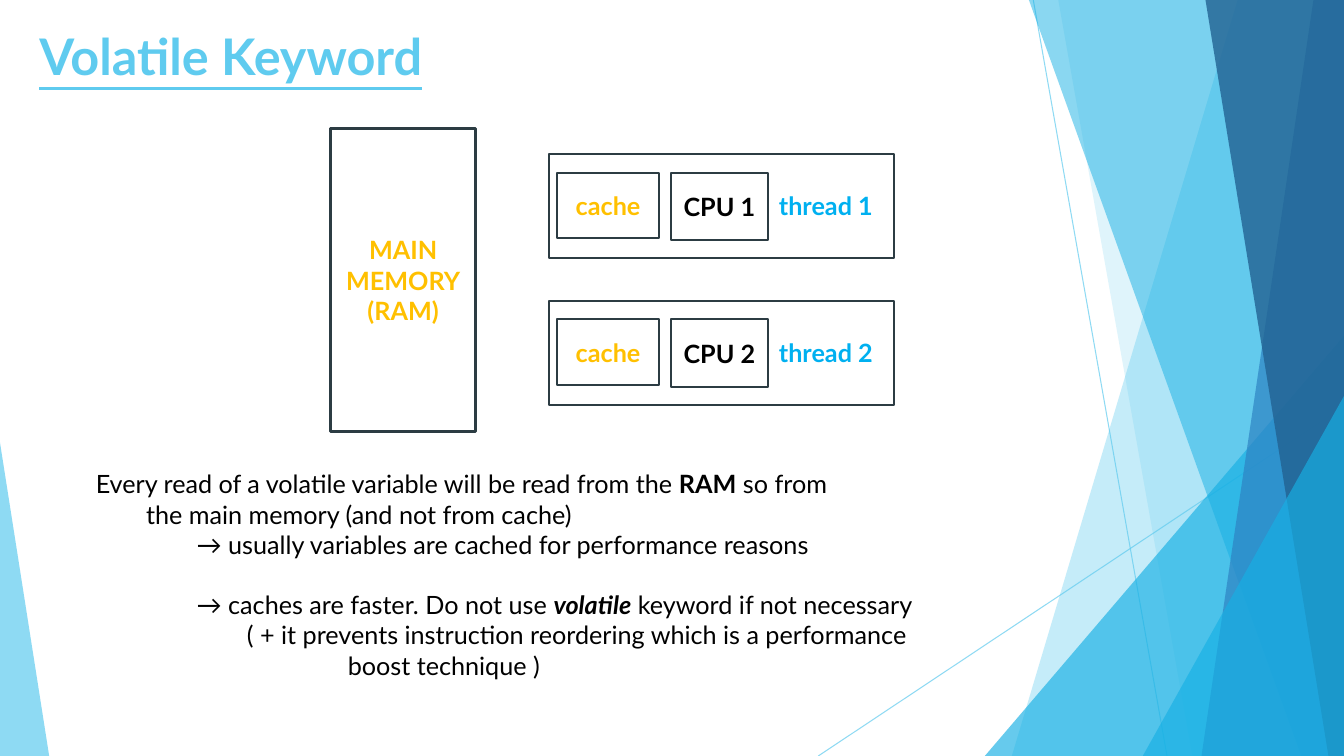
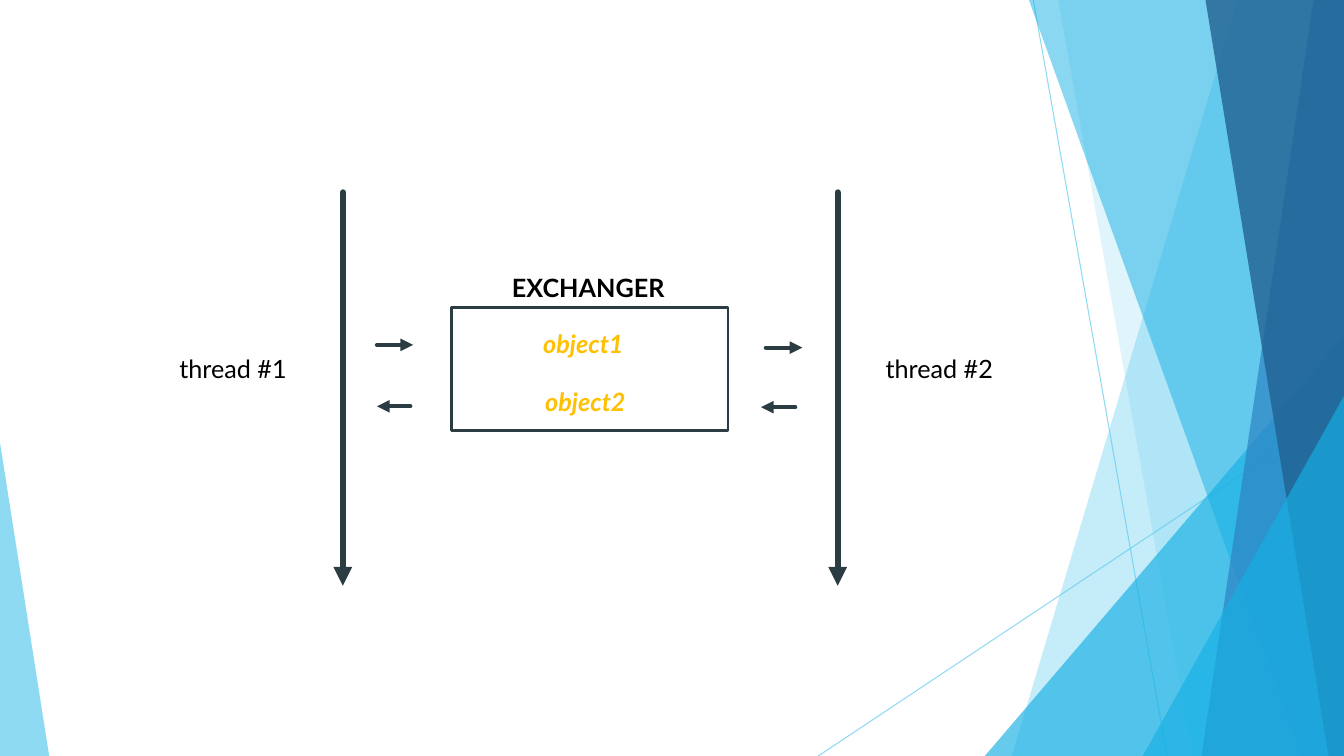
import dataclasses

import lxml.etree
import pptx
import pptx.dml.color
import pptx.enum.shapes
import pptx.enum.text
import pptx.oxml.ns
import pptx.util

Cm, Pt = pptx.util.Cm, pptx.util.Pt
SHAPE = pptx.enum.shapes.MSO_SHAPE
ALIGN = pptx.enum.text.PP_ALIGN
ANCHOR = pptx.enum.text.MSO_ANCHOR
qn = pptx.oxml.ns.qn


@dataclasses.dataclass(frozen=True)
class Theme:
    """Colours, font and sizes shared by all slides."""
    width: float = 33.87
    height: float = 19.05
    font: str = "Lato"
    title: float = 36
    body: float = 18
    tab: float = 1.27
    sky: str = "5FCBEF"
    cyan: str = "17B0E4"
    blue: str = "2E83C3"
    navy: str = "226292"
    ink: str = "2C3C43"
    black: str = "000000"
    gold: str = "FFC000"
    thread: str = "00B0F0"


THEME = Theme()


def rgb(code):
    """Return a colour object for a hex code."""
    return pptx.dml.color.RGBColor.from_string(code)


def apply(target, values):
    """Set each named attribute of the target."""
    for name, value in values.items():
        setattr(target, name, value)


def write(p, text, color=THEME.black, size=THEME.body, **values):
    """Add one formatted run to a paragraph."""
    r = p.add_run()
    r.text = text
    apply(r.font, {"name": THEME.font, "size": Pt(size), **values})
    r.font.color.rgb = rgb(color)


def place(sp, box):
    """Move a shape to a box in centimetres."""
    apply(sp, dict(zip(("left", "top", "width", "height"), map(Cm, box))))


def fade(sp, percent):
    """Set the opacity of every colour of a shape."""
    for color in sp.element.iter(qn("a:srgbClr")):
        lxml.etree.SubElement(color, qn("a:alpha")).set("val", str(percent * 1000))


def line(s, start, end, color, width, arrow=False):
    """Draw a straight line, with an arrowhead at its end if asked."""
    sp = s.shapes.add_connector(pptx.enum.shapes.MSO_CONNECTOR.STRAIGHT,
                                *map(Cm, (*start, *end)))
    sp.line.width = Pt(width)
    sp.line.color.rgb = rgb(color)
    if arrow:
        ln = sp.element.spPr.find(qn("a:ln"))
        ln.set("cap", "rnd")
        lxml.etree.SubElement(ln, qn("a:tailEnd")).set("type", "triangle")
    lxml.etree.SubElement(sp.element.spPr, qn("a:effectLst"))
    return sp


def frame(s, box, lines=(), color=THEME.black, width=1.5):
    """Draw an outlined rectangle with centred bold lines."""
    sp = s.shapes.add_shape(SHAPE.RECTANGLE, *map(Cm, box))
    sp.shadow.inherit = False
    sp.fill.background()
    sp.line.width = Pt(width)
    sp.line.color.rgb = rgb(THEME.ink)
    tf = sp.text_frame
    apply(tf, {"word_wrap": True, "vertical_anchor": ANCHOR.MIDDLE})
    for i, text in enumerate(lines):
        p = tf.add_paragraph() if i else tf.paragraphs[0]
        p.alignment = ALIGN.CENTER
        write(p, text, color, bold=True)


def label(s, box, text, color=THEME.black, **values):
    """Add a one-line text box."""
    tf = s.shapes.add_textbox(*map(Cm, box)).text_frame
    tf.word_wrap = True
    write(tf.paragraphs[0], text, color, **values)


def paint(sp, color, percent):
    """Give a backdrop shape a translucent fill and no line."""
    sp.shadow.inherit = False
    sp.fill.solid()
    sp.fill.fore_color.rgb = rgb(color)
    sp.line.fill.background()
    fade(sp, percent)


def band(s, top, bottom, color, percent):
    """Fill the area from a slanted edge to the right side."""
    right, height = Cm(THEME.width), Cm(THEME.height)
    pen = s.shapes.build_freeform(Cm(top), 0)
    pen.add_line_segments([(right, 0), (right, height), (Cm(bottom), height)])
    paint(pen.convert_to_shape(), color, percent)


def corner(s, box, apex, color, percent):
    """Draw a right triangle on the bottom edge."""
    sp = s.shapes.add_shape(SHAPE.ISOSCELES_TRIANGLE, *map(Cm, box))
    sp.adjustments[0] = apex
    paint(sp, color, percent)


def backdrop(prs, s):
    """Draw the facets once and hand them to the slide master."""
    kept = set(s.shapes.element)
    w, h = THEME.width, THEME.height
    for start, end in (((26.04, 0), (29.41, h)), ((w, 10.24), (20.62, h))):
        fade(line(s, start, end, THEME.sky, 0.75), 70)
    band(s, 31.19, 25.5, THEME.sky, 36)
    band(s, 26.67, 30.05, THEME.sky, 20)
    corner(s, (24.82, 8.46, 9.05, 10.59), 1, THEME.cyan, 66)
    band(s, 25.93, 32.79, THEME.cyan, 50)
    band(s, 33.1, 30.28, THEME.blue, 70)
    band(s, 30.38, 33.48, THEME.navy, 80)
    corner(s, (28.8, 9.98, 5.07, 9.07), 1, THEME.cyan, 66)
    corner(s, (0, 11.15, 1.24, 7.9), 0, THEME.sky, 70)
    tree = prs.slide_master.shapes.element
    for i, el in enumerate([el for el in s.shapes.element if el not in kept]):
        el.xpath("./*/p:cNvPr")[0].set("id", str(100 + i))
        tree.insert(2 + i, el)


def heading(s, box, text):
    """Fill the title placeholder."""
    sp = s.shapes.title
    place(sp, box)
    tf = sp.text_frame
    apply(tf, {"auto_size": pptx.enum.text.MSO_AUTO_SIZE.NONE,
               "vertical_anchor": ANCHOR.TOP, "word_wrap": True})
    p = tf.paragraphs[0]
    p.alignment = ALIGN.LEFT
    write(p, text, THEME.sky, THEME.title, bold=True, underline=True)


def notes(s, box, rows):
    """Fill the body placeholder with indented lines."""
    sp = s.placeholders[1]
    place(sp, box)
    tf = sp.text_frame
    apply(tf, {"auto_size": pptx.enum.text.MSO_AUTO_SIZE.NONE,
               "vertical_anchor": ANCHOR.TOP, "word_wrap": True})
    for i, (tabs, gap, runs) in enumerate(rows):
        p = tf.add_paragraph() if i else tf.paragraphs[0]
        apply(p, {"alignment": ALIGN.LEFT, "space_before": Pt(gap), "space_after": Pt(0)})
        pPr = p._p.get_or_add_pPr()
        pPr.set("marL", str(Cm(tabs * THEME.tab)))
        pPr.set("indent", "0")
        lxml.etree.SubElement(pPr, qn("a:buNone"))
        for text, values in runs:
            write(p, text, **values)


def processor(s, box, number):
    """Draw a processor with its cache and thread."""
    x, y, w, h = box
    frame(s, box)
    label(s, (x + 5.54, y + 0.79, w - 5.54, 1.02), f"thread {number}",
          THEME.thread, bold=True)
    frame(s, (x + 3.07, y + 0.46, 2.44, 1.7), [f"CPU {number}"])
    frame(s, (x + 0.2, y + 0.46, 2.57, 1.65), ["cache"], THEME.gold)


def exchange(s, box):
    """Draw two threads passing objects through the exchanger."""
    x, y, w, h = box
    for number, axis, name in ((1, 4.37, 0), (2, 16.84, 17.8)):
        line(s, (x + axis, y), (x + axis, y + h), THEME.ink, 4.5, True)
        label(s, (x + name, y + 3.94, 3.61, 1.02), f"thread #{number}")
    frame(s, (x + 7.11, y + 2.9, 6.96, 3.1))
    label(s, (x + 8.38, y + 1.88, 4.7, 1.02), "EXCHANGER", bold=True)
    for start, end, level in ((5.23, 6.14, 3.84), (6.07, 5.23, 5.39),
                              (15.03, 15.95, 3.91), (15.77, 14.91, 5.41)):
        line(s, (x + start, y + level), (x + end, y + level), THEME.ink, 3, True)
    for number, dx, dy in ((1, 9.17, 3.3), (2, 9.22, 4.75)):
        label(s, (x + dx, y + dy, 2.87, 1.02), f"object{number}",
              THEME.gold, bold=True, italic=True)


def volatile_slide(prs):
    """Build the slide on the volatile keyword."""
    s = prs.slides.add_slide(prs.slide_layouts[1])
    backdrop(prs, s)
    frame(s, (8.33, 3.23, 3.66, 7.65), ["MAIN MEMORY", "(RAM)"], THEME.gold, 2.25)
    for number in (1, 2):
        processor(s, (13.84, 3.89 + 3.7 * (number - 1), 8.69, 2.62), number)
    notes(s, (2.16, 11.68, 22.28, 5.64), [
        (0, 0, [("Every read of a volatile variable will be read from the ", {}),
                ("RAM", {"bold": True}), (" so from", {})]),
        (1, 0, [("the main memory (and not from cache)", {})]),
        (2, 0, [("→ usually variables are cached for performance reasons", {})]),
        (2, 21.6, [("→ caches are faster. Do not use ", {}),
                   ("volatile", {"bold": True, "italic": True}),
                   (" keyword if not necessary", {})]),
        (3, 0, [("( + it prevents instruction reordering which is a performance", {})]),
        (5, 0, [("boost technique )", {})]),
    ])
    heading(s, (0.74, 0.51, 23.88, 3.66), "Volatile Keyword")


def exchanger_slide(prs):
    """Build the slide on the exchanger."""
    s = prs.slides.add_slide(prs.slide_layouts[6])
    exchange(s, (4.27, 4.85, 21.41, 9.91))


def main():
    """Build and save the presentation."""
    prs = pptx.Presentation()
    apply(prs, {"slide_width": Cm(THEME.width), "slide_height": Cm(THEME.height)})
    volatile_slide(prs)
    exchanger_slide(prs)
    prs.save("out.pptx")


if __name__ == "__main__":
    main()
